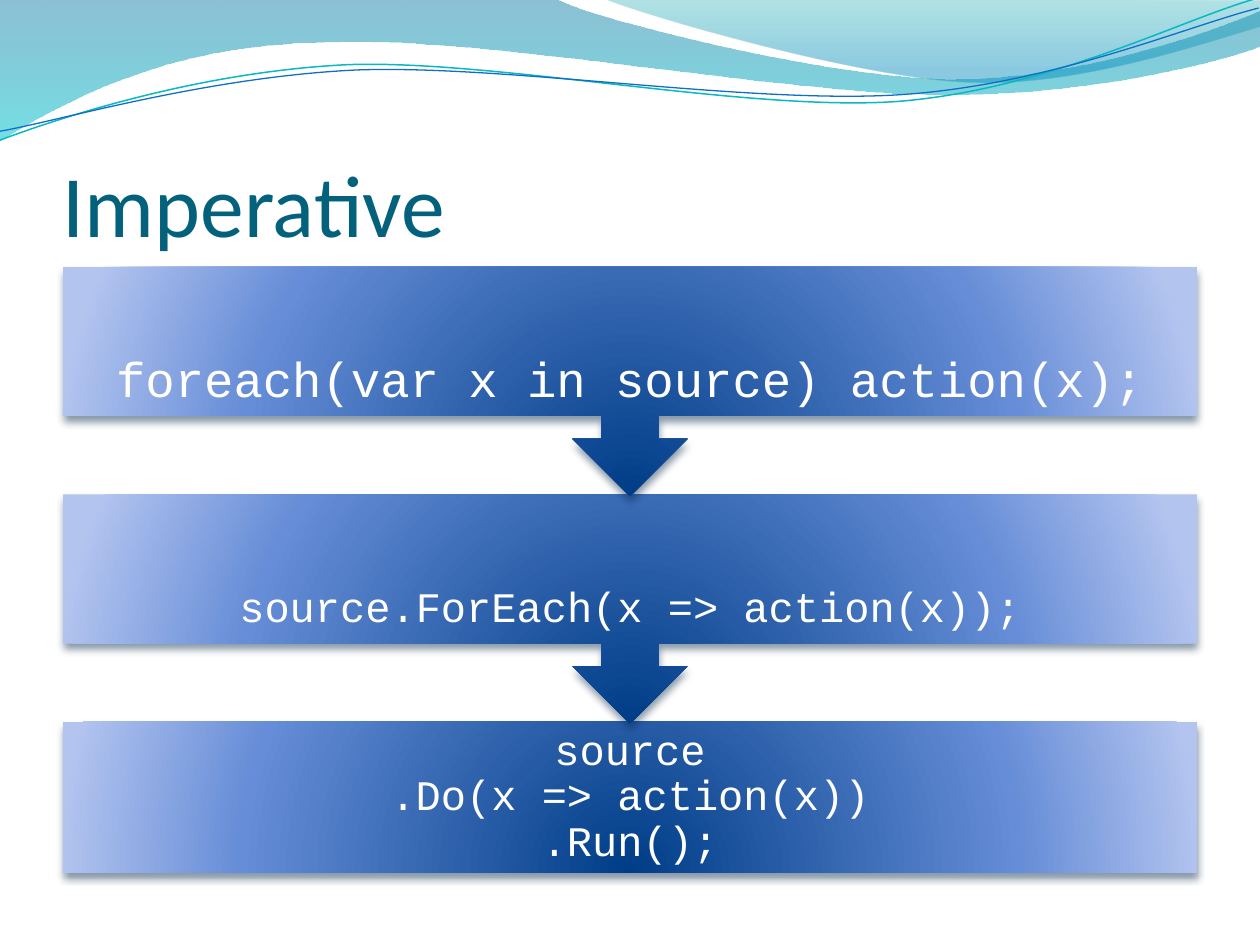
import pptx
import pptx.dml.color
import pptx.enum.shapes
import pptx.enum.text
import pptx.oxml
import pptx.util

Pt = pptx.util.Pt
KIND = pptx.enum.shapes.MSO_SHAPE
ANCHOR = pptx.enum.text.MSO_ANCHOR
ALIGN = pptx.enum.text.PP_ALIGN
NS = 'xmlns:a="http://schemas.openxmlformats.org/drawingml/2006/main"'

# Gradient stops: position %, colour, opacity %
DOWN = '<a:lin ang="5400000" scaled="0"/>'
GLOW = ('<a:path path="circle"><a:fillToRect l="50000" t="130000" '
        'r="50000" b="-30000"/></a:path>')
BLUES = [(0, "003D87", 100), (68, "668DD7", 100), (100, "B3C4EF", 100)]

# Box, then steps inside it: a pair is straight, six numbers are a Bezier
WAVES = [
    ((-1, -1, 722, 82),
     [(1, 0), (318, 0), (344, 13, 479, 46, 547, 46),
      (615, 46, 691, 20, 721, 7), (722, 27), (709, 33, 627, 56, 538, 55),
      (448, 55, 276, 21, 186, 25), (94, 26, 34, 61, 0, 82)],
     [(0, "0074A1", 45), (100, "00C6CF", 55)]),
    ((345, -1, 375, 50),
     [(0, 0), (21, 9, 146, 46, 209, 48), (271, 51, 347, 24, 375, 16),
      (375, 1)],
     [(0, "00A1A9", 30), (80, "008BBF", 45)]),
]
LINES = [
    ((-1.4, 15.8, 722, 51),
     [(0, 47.3), (35.6, 35.9, 115.7, 13.6, 200.8, 13.6),
      (285.8, 14.7, 427.2, 51.4, 513.4, 49.4),
      (600.6, 46.5, 677.5, 10.1, 722, 0)], "0AB8BF", 0.85),
    ((-1.4, 21.6, 722, 42),
     [(0, 36.5), (34.7, 32.1, 119.7, 11, 205.8, 11.1),
      (291.8, 12.1, 430.6, 41.7, 516.8, 39.8),
      (603, 37.8, 680.5, 8.4, 722, 0)], "0F6FC6", 0.75),
]
TILT = 357.3
TITLE = "Imperative"
# Text, size, inset, shape, height
STEPS = [
    ("foreach(var x in source) action(x);", 28, 16,
     KIND.DOWN_ARROW_CALLOUT, 131),
    ("source.ForEach(x => action(x));", 24, 13.5,
     KIND.DOWN_ARROW_CALLOUT, 131),
    ("source\v.Do(x => action(x))\v.Run();", 24, 13.5, KIND.RECTANGLE, 86),
]
LEFT, WIDTH, TOP, PITCH = 36, 648, 152.5, 130


def color(code):
    return pptx.dml.color.RGBColor.from_string(code)


def outline(box, path, close):
    """Build a freeform, then bend its six-number steps into curves."""
    ends = [(Pt(step[-2]), Pt(step[-1])) for step in path]
    form = slide.shapes.build_freeform(*ends[0])
    form.add_line_segments(ends[1:], close=close)
    shape = form.convert_to_shape()
    shape.left, shape.top, shape.width, shape.height = map(Pt, box)
    shape.shadow.inherit = False
    track = next(shape._element.iter(pptx.oxml.ns.qn("a:path")))
    track.set("w", str(shape.width))
    track.set("h", str(shape.height))
    for node, step in zip(list(track), path):
        if len(step) == 6:
            dots = "".join(f'<a:pt x="{Pt(x)}" y="{Pt(y)}"/>'
                           for x, y in zip(step[::2], step[1::2]))
            track.replace(node, pptx.oxml.parse_xml(
                f'<a:cubicBezTo {NS}>{dots}</a:cubicBezTo>'))
    return shape


def shade(shape, stops, way):
    """Give a shape a gradient fill and no line."""
    marks = "".join(
        f'<a:gs pos="{pos * 1000}"><a:srgbClr val="{code}">'
        f'<a:alpha val="{alpha * 1000}"/></a:srgbClr></a:gs>'
        for pos, code, alpha in stops)
    shape.line.fill.background()
    shape.fill.background()
    props = shape._element.spPr
    blank = props.find(pptx.oxml.ns.qn("a:noFill"))
    props.replace(blank, pptx.oxml.parse_xml(
        f'<a:gradFill {NS} rotWithShape="1"><a:gsLst>{marks}</a:gsLst>'
        f'{way}</a:gradFill>'))


def drop(shape):
    """Add a soft shadow below a shape."""
    shape.shadow.inherit = False
    effects = shape._element.spPr.find(pptx.oxml.ns.qn("a:effectLst"))
    effects.append(pptx.oxml.parse_xml(
        f'<a:outerShdw {NS} blurRad="{Pt(4.5)}" dist="{Pt(3)}" dir="5400000" '
        'rotWithShape="0"><a:srgbClr val="042747"><a:alpha val="48000"/>'
        '</a:srgbClr></a:outerShdw>'))


def write(text, box, insets, anchor, face, size, code, **form):
    frame = slide.shapes.add_textbox(*map(Pt, box)).text_frame
    frame.word_wrap = True
    frame.vertical_anchor = anchor
    for side, gap in zip(("left", "top", "right", "bottom"), insets):
        setattr(frame, "margin_" + side, Pt(gap))
    frame.text = text
    para = frame.paragraphs[0]
    for name, value in form.items():
        setattr(para, name, value)
    for run in para.runs:
        run.font.name = face
        run.font.size = Pt(size)
        run.font.color.rgb = color(code)


deck = pptx.Presentation()
deck.slide_width, deck.slide_height = Pt(720), Pt(540)
slide = deck.slides.add_slide(deck.slide_layouts[6])

for box, path, stops in WAVES:
    shade(outline(box, path, True), stops, DOWN)
for box, path, code, width in LINES:
    curve = outline(box, path, False)
    curve.rotation = TILT
    curve.fill.background()
    curve.line.color.rgb = color(code)
    curve.line.width = Pt(width)

write(TITLE, (LEFT, 55.5, WIDTH, 90), (0, 3.6, 0, 0), ANCHOR.BOTTOM,
      "Calibri", 50, "04617B")

# The last step lies at the back, so each arrow tip covers the next step
for i, (text, size, inset, kind, height) in reversed(list(enumerate(STEPS))):
    box = (LEFT, TOP + i * PITCH, WIDTH, height)
    step = slide.shapes.add_shape(kind, *map(Pt, box))
    shade(step, BLUES, GLOW)
    drop(step)
    write(text, box, [inset] * 4, ANCHOR.MIDDLE, "Courier New", size,
          "FFFFFF", alignment=ALIGN.CENTER, line_spacing=0.9)

deck.save("out.pptx")
